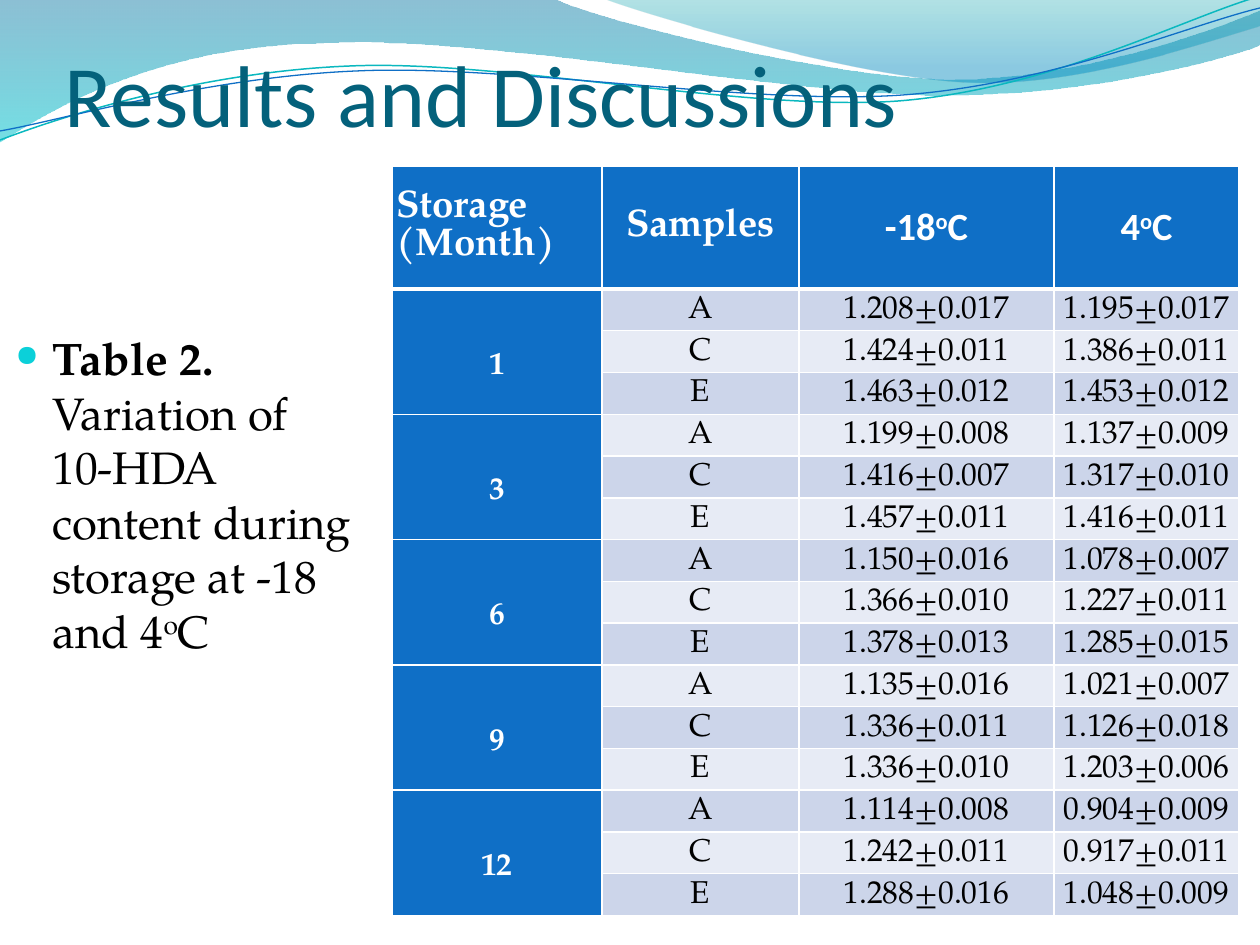
import pptx
import pptx.util
import pptx.dml.color
import pptx.enum.text
import pptx.oxml
import pptx.oxml.ns

PX = 914400 / 126
HEX = {"head": "0F6FC6", "dark": "CCD5EA", "light": "E7EBF5", "white": "FFFFFF",
       "ink": "000000", "title": "04617B", "dot": "0BD0D9", "teal": "0AB8BF",
       "sea": "0074A1", "aqua": "00C6CF", "green": "00A1A9", "sky": "008BBF"}
SERIF, SANS = "TeX Gyre Pagella", "Calibri"
ALIGN = pptx.enum.text.PP_ALIGN
ANCHOR = pptx.enum.text.MSO_ANCHOR

# Each outline is a start point, then lines (2 numbers) and curves (6 numbers).
WAVES = [
    ([(0, 0), (554, -1), (600, 21, 837, 79, 955, 79), (1075, 79, 1207, 33, 1260, 11),
      (1261, 45), (1239, 55, 1096, 96, 940, 95), (784, 95, 481, 35, 324, 43),
      (163, 45, 58, 105, -1, 142)], [(0, "sea", 45), (1, "aqua", 55)]),
    ([(604, -1), (641, 14, 859, 78, 969, 82), (1079, 87, 1211, 40, 1260, 26),
      (1260, 0)], [(0, "green", 30), (0.8, "sky", 45)]),
]
LINES = [
    ([(0, 140), (60, 117, 199, 72, 349, 66), (498, 59, 747, 112, 898, 101),
      (1050, 89, 1182, 19, 1257, -3)], "teal", 0.85),
    ([(0, 131), (59, 121, 207, 77, 357, 71), (508, 64, 752, 106, 903, 95),
      (1053, 84, 1186, 26, 1260, 8)], "head", 0.75),
]
HEADS = [[("Storage (Month)", 0)], [("Samples", 0)],
         [("-18", 0), ("o", 30), ("C", 0)], [("4", 0), ("o", 30), ("C", 0)]]
MONTHS = {
    "1": [("1.208±0.017", "1.195±0.017"), ("1.424±0.011", "1.386±0.011"),
          ("1.463±0.012", "1.453±0.012")],
    "3": [("1.199±0.008", "1.137±0.009"), ("1.416±0.007", "1.317±0.010"),
          ("1.457±0.011", "1.416±0.011")],
    "6": [("1.150±0.016", "1.078±0.007"), ("1.366±0.010", "1.227±0.011"),
          ("1.378±0.013", "1.285±0.015")],
    "9": [("1.135±0.016", "1.021±0.007"), ("1.336±0.011", "1.126±0.018"),
          ("1.336±0.010", "1.203±0.006")],
    "12": [("1.114±0.008", "0.904±0.009"), ("1.242±0.011", "0.917±0.011"),
           ("1.288±0.016", "1.048±0.009")],
}


def emu(*vals):
    return [pptx.util.Emu(round(v * PX)) for v in vals]


def rgb(name):
    return pptx.dml.color.RGBColor.from_string(HEX[name])


def node(tag, body="", **attrs):
    text = "".join(f' {k}="{v}"' for k, v in attrs.items())
    return pptx.oxml.parse_xml(
        f'<a:{tag} {pptx.oxml.ns.nsdecls("a")}{text}>{body}</a:{tag}>')


def color(name):
    return f'<a:srgbClr val="{HEX[name]}"/>'


def apply(item, form):
    for name, val in form.items():
        setattr(item, name, val)


def add_run(par, text, font, size, hue, bold=False, base=0):
    run = par.add_run()
    run.text = text
    apply(run.font, {"name": font, "size": pptx.util.Pt(size), "bold": bold})
    run.font.color.rgb = rgb(hue)
    if base:
        run.font._element.set("baseline", str(base * 1000))


def add_curve(slide, curve, left, top, close):
    """Join the end points, then bend the segments that have control points."""
    ends = [emu(left + seg[-2], top + seg[-1]) for seg in curve]
    form = slide.shapes.build_freeform(*ends[0])
    form.add_line_segments(ends[1:], close=close)
    shape = form.convert_to_shape()
    shape.shadow.inherit = False
    sides = list(shape._element.iter(pptx.oxml.ns.qn("a:lnTo")))
    for side, seg in zip(sides, curve[1:]):
        if len(seg) == 6:
            xs = [x - shape.left for x in emu(*(left + v for v in seg[::2]))]
            ys = [y - shape.top for y in emu(*(top + v for v in seg[1::2]))]
            body = "".join(f'<a:pt x="{x}" y="{y}"/>' for x, y in zip(xs, ys))
            side.getparent().replace(side, node("cubicBezTo", body))
    return shape


def add_waves(slide, left, top):
    for curve, stops in WAVES:
        shape = add_curve(slide, curve, left, top, True)
        shape.line.fill.background()
        shape.fill.gradient()
        shape.fill.gradient_angle = 270
        for stop, (pos, hue, alpha) in zip(shape.fill.gradient_stops, stops):
            stop.position = pos
            stop.color.rgb = rgb(hue)
            tint = stop._gs.find(pptx.oxml.ns.qn("a:srgbClr"))
            tint.append(node("alpha", val=alpha * 1000))
    for curve, hue, width in LINES:
        shape = add_curve(slide, curve, left, top, False)
        shape.fill.background()
        shape.line.color.rgb = rgb(hue)
        shape.line.width = pptx.util.Pt(width)


def add_box(slide, box, **form):
    frame = slide.shapes.add_textbox(*emu(*box)).text_frame
    apply(frame, {"word_wrap": True, **form})
    return frame.paragraphs[0]


def add_title(slide, box):
    par = add_box(slide, box, vertical_anchor=ANCHOR.BOTTOM, margin_left=0,
                  margin_right=0, margin_bottom=0)
    add_run(par, "Results and Discussions", SANS, 50, "title")


def add_note(slide, box):
    par = add_box(slide, box)
    par.space_before = pptx.util.Pt(5)
    props = par._p.get_or_add_pPr()
    dent = emu(37)[0]
    props.set("marL", str(dent))
    props.set("indent", str(-dent))
    for part in (node("buClr", color("dot")), node("buSzPct", val=65000),
                 node("buFont", typeface="OpenSymbol"), node("buChar", char="●")):
        props.append(part)
    add_run(par, "Table 2. ", SERIF, 26, "ink", True)
    for text, base in [("Variation of 10-HDA content during storage at -18 and 4", 0),
                       ("o", 30), ("C", 0)]:
        add_run(par, text, SERIF, 26, "ink", base=base)


def fill_cell(cell, runs, fill, font, size, hue, bold, space=1, align=ALIGN.CENTER, rule=1):
    side = emu(5)[0]
    apply(cell, {"margin_left": side, "margin_right": side, "margin_top": 0,
                 "margin_bottom": 0, "vertical_anchor": ANCHOR.MIDDLE})
    cell.fill.solid()
    cell.fill.fore_color.rgb = rgb(fill)
    par = cell.text_frame.paragraphs[0]
    apply(par, {"alignment": align, "line_spacing": space})
    for text, base in runs:
        add_run(par, text, font, size, hue, bold, base)
    props = cell._tc.get_or_add_tcPr()
    for i, tag in enumerate(("lnL", "lnR", "lnT", "lnB")):
        width = 12700 * (rule if tag == "lnB" else 1)
        props.insert(i, node(tag, f'<a:solidFill>{color("white")}</a:solidFill>', w=width))


def add_grid(slide, box):
    height = box[3]
    cols, head = (210, 197, 255, 185), 123
    count = 1 + 3 * len(MONTHS)
    grid = slide.shapes.add_table(count, len(cols), *emu(*box)).table
    for col, size in zip(grid.columns, cols):
        col.width = emu(size)[0]
    for i, row in enumerate(grid.rows):
        row.height = emu((height - head) / (count - 1) if i else head)[0]
    for i, runs in enumerate(HEADS):
        fill_cell(grid.cell(0, i), runs, "head", SERIF if i < 2 else SANS, 22, "white",
                  True, align=ALIGN.CENTER if i else ALIGN.JUSTIFY, rule=3)
    for i, (month, pairs) in enumerate(MONTHS.items()):
        first = 1 + 3 * i
        grid.cell(first, 0).merge(grid.cell(first + 2, 0))
        fill_cell(grid.cell(first, 0), [(month, 0)], "head", SERIF, 18, "white", True, 2)
        for row, (name, pair) in enumerate(zip("ACE", pairs), first):
            for col, text in enumerate((name, *pair), 1):
                fill_cell(grid.cell(row, col), [(text, 0)], "dark" if row % 2 else "light",
                          SERIF, 18, "ink", False, 1.1)


def main():
    deck = pptx.Presentation()
    deck.slide_width, deck.slide_height = emu(1260, 945)
    slide = deck.slides.add_slide(deck.slide_layouts[6])
    add_waves(slide, 0, 0)
    add_title(slide, (65, 3, 1134, 142))
    add_note(slide, (3, 324, 366, 387))
    add_grid(slide, (392, 166, 847, 750))
    deck.save("out.pptx")


if __name__ == "__main__":
    main()
